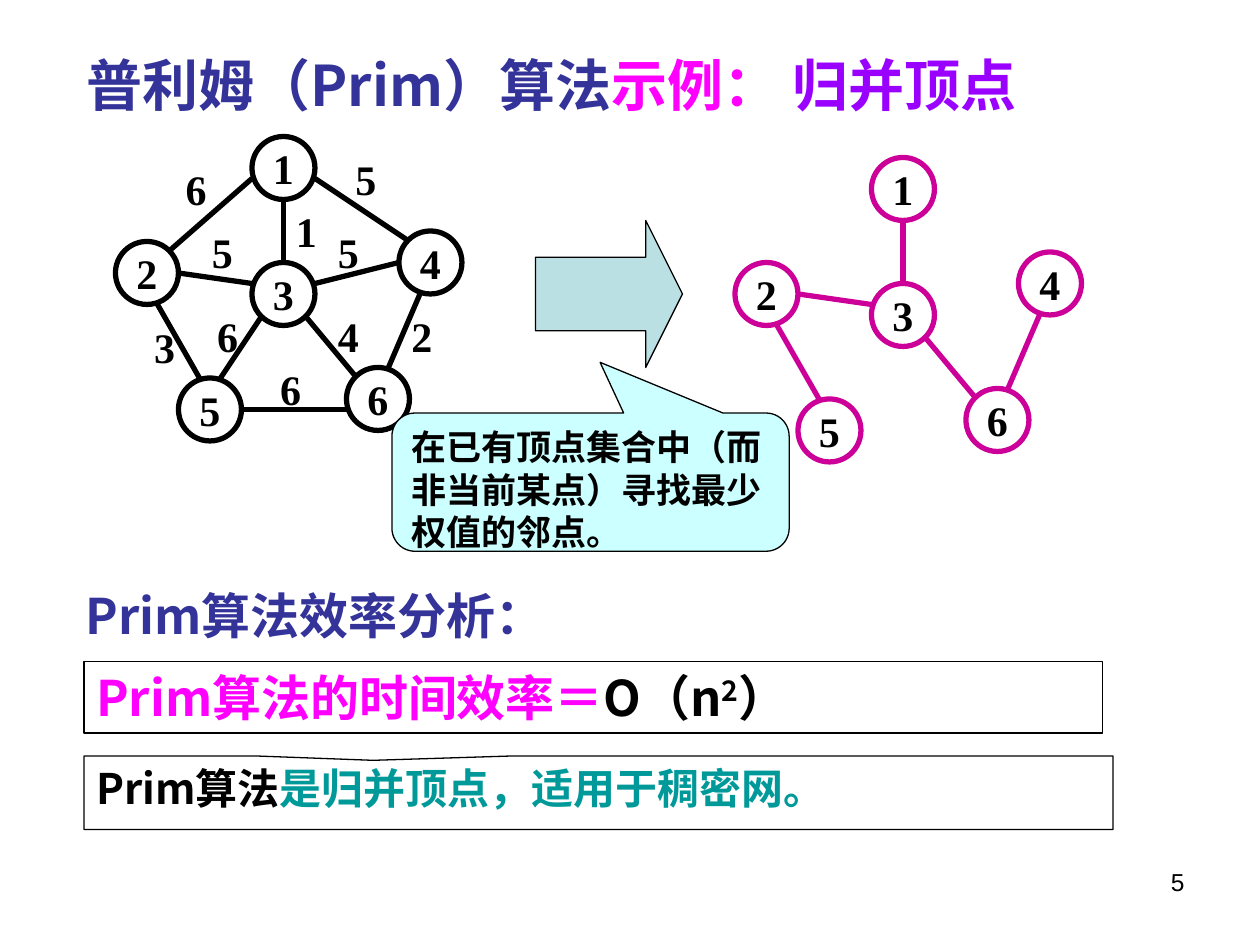
import pptx
import pptx.util
import pptx.dml.color
import pptx.enum.shapes
import pptx.enum.text
import pptx.oxml.ns
import lxml.etree

Pt = pptx.util.Pt
SHAPE = pptx.enum.shapes.MSO_SHAPE
ALIGN = pptx.enum.text.PP_ALIGN
ANCHOR = pptx.enum.text.MSO_ANCHOR
qn = pptx.oxml.ns.qn

CJK, SERIF = "Noto Sans CJK SC", "Times New Roman"
BLACK, NAVY, MAGENTA = "000000", "333399", "FF00FF"
NODE_SIZE = 36
NODES = {"1": (78, 0), "4": (162, 54), "6": (132, 132),
         "5": (36, 138), "2": (0, 60), "3": (78, 72)}
EDGES = {"12": (78, 24, 30, 66), "25": (24, 96, 48, 138),
         "56": (72, 156, 132, 156), "46": (174, 90, 156, 132),
         "14": (114, 24, 168, 60), "13": (96, 36, 96, 72),
         "35": (84, 102, 60, 138), "36": (108, 102, 138, 138),
         "34": (114, 84, 162, 72), "23": (36, 78, 78, 84)}
WEIGHTS = {"13": ("1", 96, 36), "14": ("5", 130, 6), "12": ("6", 33, 12),
           "34": ("5", 120, 48), "23": ("5", 48, 48), "36": ("4", 120, 96),
           "35": ("6", 51, 96), "25": ("3", 15, 102), "56": ("6", 87, 126),
           "46": ("2", 162, 96)}
TREE_EDGES = ("13", "36", "46", "23", "25")


def rgb(value):
    """Turn a hex string into a colour."""
    return pptx.dml.color.RGBColor.from_string(value)


def write(frame, runs, size, name=CJK, bold=True, align=ALIGN.LEFT,
          anchor=ANCHOR.TOP, wrap=True):
    """Fill a text frame with one paragraph of (text, colour) runs."""
    frame.word_wrap = wrap
    frame.vertical_anchor = anchor
    frame.auto_size = pptx.enum.text.MSO_AUTO_SIZE.NONE
    paragraph = frame.paragraphs[0]
    paragraph.alignment = align
    paragraph.font.size = Pt(size)
    paragraph.font.bold = bold
    paragraph.font.name = name
    defaults = paragraph._p.find(".//" + qn("a:defRPr"))
    lxml.etree.SubElement(defaults, qn("a:ea"), typeface=name)
    for text, colour in runs:
        run = paragraph.add_run()
        run.text = text
        run.font.color.rgb = rgb(colour)
    return paragraph


def add_outline(shapes, kind, box, fill=None, line=BLACK, width=0.75, adjust=()):
    """Add a preset shape with a plain fill and outline."""
    outline = shapes.add_shape(kind, *map(Pt, box))
    outline.shadow.inherit = False
    if fill:
        outline.fill.solid()
        outline.fill.fore_color.rgb = rgb(fill)
    else:
        outline.fill.background()
    outline.line.color.rgb = rgb(line)
    outline.line.width = Pt(width)
    for index, value in enumerate(adjust):
        outline.adjustments[index] = value
    return outline


def add_label(shapes, box, runs, size, **style):
    """Add a text box holding one line of text."""
    label = shapes.add_textbox(*map(Pt, box))
    write(label.text_frame, runs, size, **style)


def add_edge(shapes, ends, colour):
    """Add one straight graph edge."""
    edge = shapes.add_connector(
        pptx.enum.shapes.MSO_CONNECTOR.STRAIGHT, *map(Pt, ends))
    edge.line.color.rgb = rgb(colour)
    edge.line.width = Pt(3)
    lxml.etree.SubElement(edge._element.spPr, qn("a:effectLst"))


def add_graph(slide, left, top, colour, edges, weighted):
    """Draw the six vertices with the chosen edges and weights."""
    graph = slide.shapes.add_group_shape().shapes
    for vertex, (x, y) in NODES.items():
        node = add_outline(graph, SHAPE.OVAL,
                           (left + x, top + y, NODE_SIZE, NODE_SIZE),
                           line=colour, width=3)
        write(node.text_frame, [(vertex, BLACK)], 24, SERIF,
              align=ALIGN.CENTER, anchor=ANCHOR.MIDDLE, wrap=False)
    for pair in edges:
        x1, y1, x2, y2 = EDGES[pair]
        add_edge(graph, (left + x1, top + y1, left + x2, top + y2), colour)
    if weighted:
        for weight, x, y in WEIGHTS.values():
            add_label(graph, (left + x, top + y, 26, 36), [(weight, BLACK)],
                      24, name=SERIF, wrap=False)


def add_title(slide, left, top, width, height):
    """Place and colour the slide title."""
    title = slide.shapes.title
    title.left, title.top, title.width, title.height = map(
        Pt, (left, top, width, height))
    write(title.text_frame,
          [("普利姆（Prim）算法", NAVY), ("示例： ", MAGENTA), ("归并顶点", "9900FF")],
          32, anchor=ANCHOR.MIDDLE)


def add_analysis(slide, left, top):
    """Write the efficiency heading and its two boxed statements."""
    shapes = slide.shapes
    add_label(shapes, (left, top, 612, 42), [("Prim算法效率分析：", NAVY)], 28,
              anchor=ANCHOR.MIDDLE)
    efficiency = add_outline(shapes, SHAPE.RECTANGLE,
                             (left + 6, top + 47.5, 582, 41), "FFFFFF")
    formula = write(efficiency.text_frame,
                    [("Prim算法的时间效率＝", MAGENTA), ("O（n", BLACK),
                     ("2", BLACK), ("）", BLACK)], 28)
    formula.runs[2]._r.get_or_add_rPr().set("baseline", "30000")
    usage = add_outline(shapes, SHAPE.RECTANGULAR_CALLOUT,
                        (left + 6, top + 101.5, 588, 42), "FFFFFF",
                        adjust=(-0.219, -0.44))
    write(usage.text_frame,
          [("Prim算法", BLACK), ("是归并顶点，适用于稠密网。", "009999")], 24)


def add_hint(slide, left, top, width, height):
    """Add the callout explaining how the next vertex is chosen."""
    hint = add_outline(slide.shapes, SHAPE.ROUNDED_RECTANGULAR_CALLOUT,
                       (left, top, width, height), "CCFFFF",
                       adjust=(0.024, -0.867, 0.167))
    write(hint.text_frame,
          [("在已有顶点集合中（而非当前某点）寻找最少权值的邻点。", BLACK)], 20)


def main():
    """Build and save the slide."""
    deck = pptx.Presentation()
    deck.slide_width, deck.slide_height = Pt(720), Pt(540)
    slide = deck.slides.add_slide(deck.slide_layouts[5])
    add_title(slide, 42, 24, 570, 48)
    add_graph(slide, 66, 78, BLACK, EDGES, weighted=True)
    add_graph(slide, 420, 90, "CC0099", TREE_EDGES, weighted=False)
    add_outline(slide.shapes, SHAPE.RIGHT_ARROW, (306, 126, 84, 84), "BBE0E3",
                adjust=(0.5, 0.25))
    add_analysis(slide, 42, 330.5)
    add_hint(slide, 224, 236, 227, 79)
    add_label(slide.shapes, (516, 492, 168, 37.5), [("5", BLACK)], 14,
              name="Arial", bold=False, align=ALIGN.RIGHT)
    deck.save("out.pptx")


if __name__ == "__main__":
    main()
